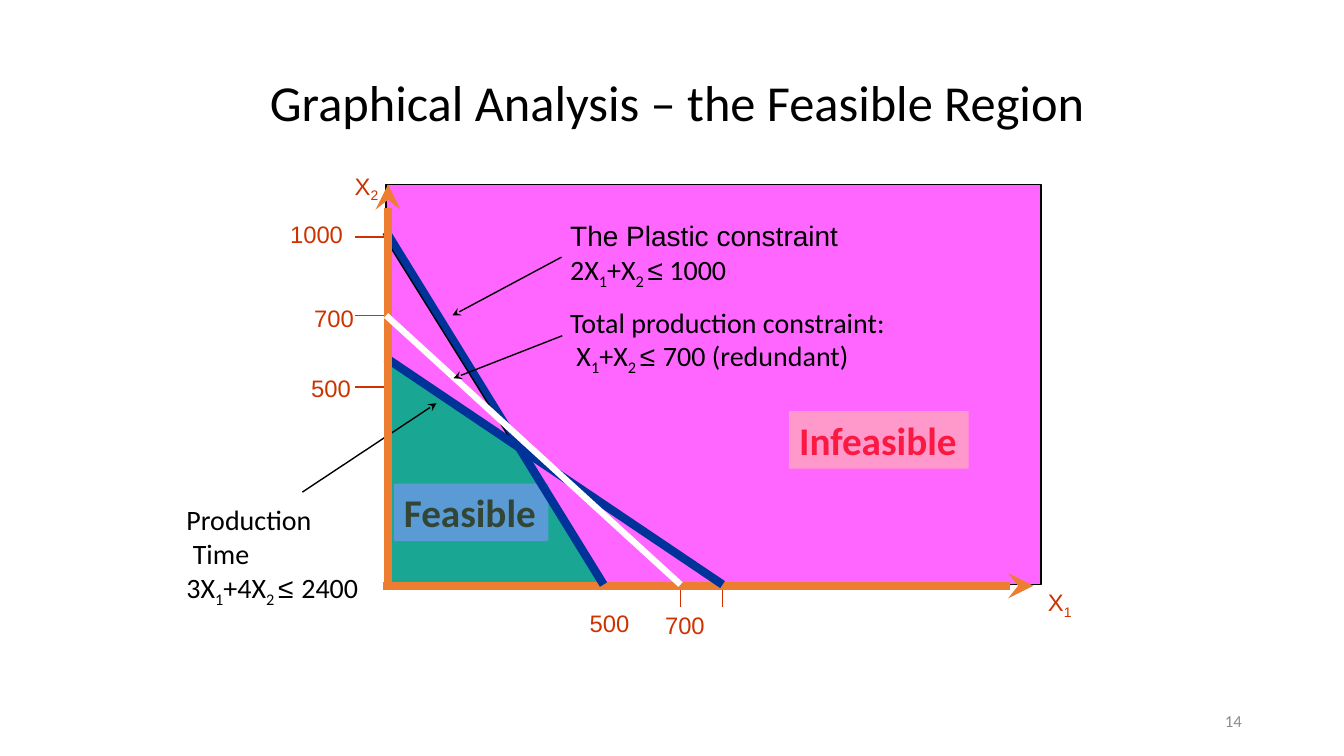
from pptx import Presentation
from pptx.dml.color import RGBColor as Rgb
from pptx.enum.shapes import MSO_CONNECTOR as Link, MSO_SHAPE as Kind
from pptx.enum.text import MSO_ANCHOR as Anchor, PP_ALIGN as Align
from pptx.oxml.ns import qn
from pptx.util import Cm, Pt
from lxml.etree import SubElement as Sub

BLACK, WHITE, RUST = "000000", "FFFFFF", "CC3300"
PINK, TEAL, NAVY, ORANGE = "FF66FF", "19A793", "003399", "ED7D31"
LEFT, BASE = 9.73, 14.73
TITLE = "Graphical Analysis – the Feasible Region"

LOW, SANS = "low", "Arial"
LABELS = [
    ("1000", "", 7.06, 5.41, 1.88),
    ("700", "", 7.67, 7.54, 1.52),
    ("500", "", 7.59, 9.3, 1.52),
    ("500", "", 14.61, 15.21, 1.52),
    ("700", "", 16.51, 15.27, 1.52),
    ("X", "2", 8.69, 4.19, 1.14),
    ("X", "1", 26.16, 14.68, 1.14),
]
NOTES = [
    ((14.12, 5.38, 7.32, 1.96), [
        [("The Plastic constraint", SANS)],
        [("2X", ""), ("1", LOW), ("+X", ""), ("2 ", LOW), ("≤", SANS), (" 1000", "")],
    ]),
    ((14.12, 7.57, 8.54, 1.96), [
        [("Total production constraint:", "")],
        [(" X", ""), ("1", LOW), ("+X", ""), ("2 ", LOW), ("≤ ", SANS),
         ("700 (redundant)", "")],
    ]),
    ((4.45, 12.55, 4.85, 2.82), [
        [("Production", "")],
        [(" Time", "")],
        [("3X", ""), ("1", LOW), ("+4X", ""), ("2 ", LOW), ("≤ ", SANS), ("2400", "")],
    ]),
]
BADGES = [
    ("Feasible", "334635", "5B9BD5", 9.93, 12.19, 3.89),
    ("Infeasible", "FA1941", "FF99CC", 19.89, 10.36, 4.52),
]
TICKS = [((8.94, y), (9.7, y)) for y in (5.97, 7.95, 9.75)]
TICKS += [((x, BASE), (x, 15.3)) for x in (17.15, 18.21)]
GAP = [(LEFT, 6.05), (12.9, 11.13), (LEFT, 9.02)]
UNDER = [
    ((7.62, 12.4), (11, 10.16), BLACK, 1, True),
    ((9.65, 14.76), (26.04, 14.76), ORANGE, 6, True),
    ((14.15, 6.48), (11.4, 7.95), BLACK, 1, True),
    ((LEFT, 5.84), (15.21, BASE), NAVY, 6, False),
]
OVER = [
    ((LEFT, 9.02), (18.21, BASE), NAVY, 6, False),
    ((9.78, 14.68), (9.78, 4.65), ORANGE, 6, True),
    ((LEFT, 7.95), (17.15, BASE), WHITE, 4.5, False),
    ((14.17, 8.46), (11.43, 9.53), BLACK, 1, True),
]

deck = Presentation()
deck.slide_width, deck.slide_height = Cm(33.87), Cm(19.05)
slide = deck.slides.add_slide(deck.slide_layouts[5])
shapes = slide.shapes


def color(code):
    return Rgb.from_string(code)


def write(par, text, size, code, font="Calibri", bold=False, low=False):
    run = par.add_run()
    run.text = text
    face = run.font
    face.name, face.size, face.bold = font, Pt(size), bold
    face.color.rgb = color(code)
    if low:
        run._r.get_or_add_rPr().set("baseline", "-25000")


def box(x, y, w, h):
    frame = shapes.add_textbox(Cm(x), Cm(y), Cm(w), Cm(h)).text_frame
    frame.word_wrap = False
    return frame


def paint(shape, fill, edge=None):
    shape.shadow.inherit = False
    shape.fill.solid()
    shape.fill.fore_color.rgb = color(fill)
    if edge:
        shape.line.color.rgb = color(edge)
        shape.line.width = Pt(1)
    else:
        shape.line.fill.background()


def block(kind, x, y, w, h, fill, edge=None):
    shape = shapes.add_shape(kind, Cm(x), Cm(y), Cm(w), Cm(h))
    paint(shape, fill, edge)
    return shape


def stroke(start, end, code, width, tip):
    line = shapes.add_connector(Link.STRAIGHT, *map(Cm, start + end))
    line.line.color.rgb = color(code)
    line.line.width = Pt(width)
    if tip:
        Sub(line.line._get_or_add_ln(), qn("a:tailEnd"), type="stealth")
    Sub(line._element.spPr, qn("a:effectLst"))


title = shapes.title
title.left, title.top, title.width, title.height = map(Cm, (6.55, 1.07, 21.79, 3.18))
title.text_frame.vertical_anchor = Anchor.MIDDLE
head = title.text_frame.paragraphs[0]
head.alignment, head.line_spacing = Align.LEFT, 0.9
write(head, TITLE, 36, BLACK)

block(Kind.RECTANGLE, LEFT, 4.65, 16.51, 10.08, PINK, BLACK)
for start, end in TICKS:
    stroke(start, end, RUST, 1, False)
block(Kind.RIGHT_TRIANGLE, 9.8, 6.05, 5.51, 8.69, TEAL)

for text, ink, fill, x, y, w in BADGES:
    frame = block(Kind.RECTANGLE, x, y, w, 1.45, fill).text_frame
    frame.word_wrap = False
    frame.vertical_anchor = Anchor.TOP
    frame.paragraphs[0].alignment = Align.LEFT
    write(frame.paragraphs[0], text, 28, ink, bold=True)

for item in UNDER:
    stroke(*item)
first, *rest = [(Cm(x), Cm(y)) for x, y in GAP]
path = shapes.build_freeform(*first)
path.add_line_segments(rest)
paint(path.convert_to_shape(), PINK, BLACK)
for item in OVER:
    stroke(*item)

for text, low, x, y, w in LABELS:
    par = box(x, y, w, 0.99).paragraphs[0]
    write(par, text, 17, RUST, SANS)
    if low:
        write(par, low, 17, RUST, SANS, low=True)

for place, lines in NOTES:
    frame = box(*place)
    for i, line in enumerate(lines):
        par = frame.add_paragraph() if i else frame.paragraphs[0]
        for text, mark in line:
            font = SANS if mark == SANS else "Calibri"
            write(par, text, 20, BLACK, font, low=mark == LOW)

foot = box(23.93, 17.65, 7.62, 1.02)
foot.word_wrap = True
foot.vertical_anchor = Anchor.MIDDLE
foot.paragraphs[0].alignment = Align.RIGHT
write(foot.paragraphs[0], "14", 12, "8C8C8C")

deck.save("out.pptx")
